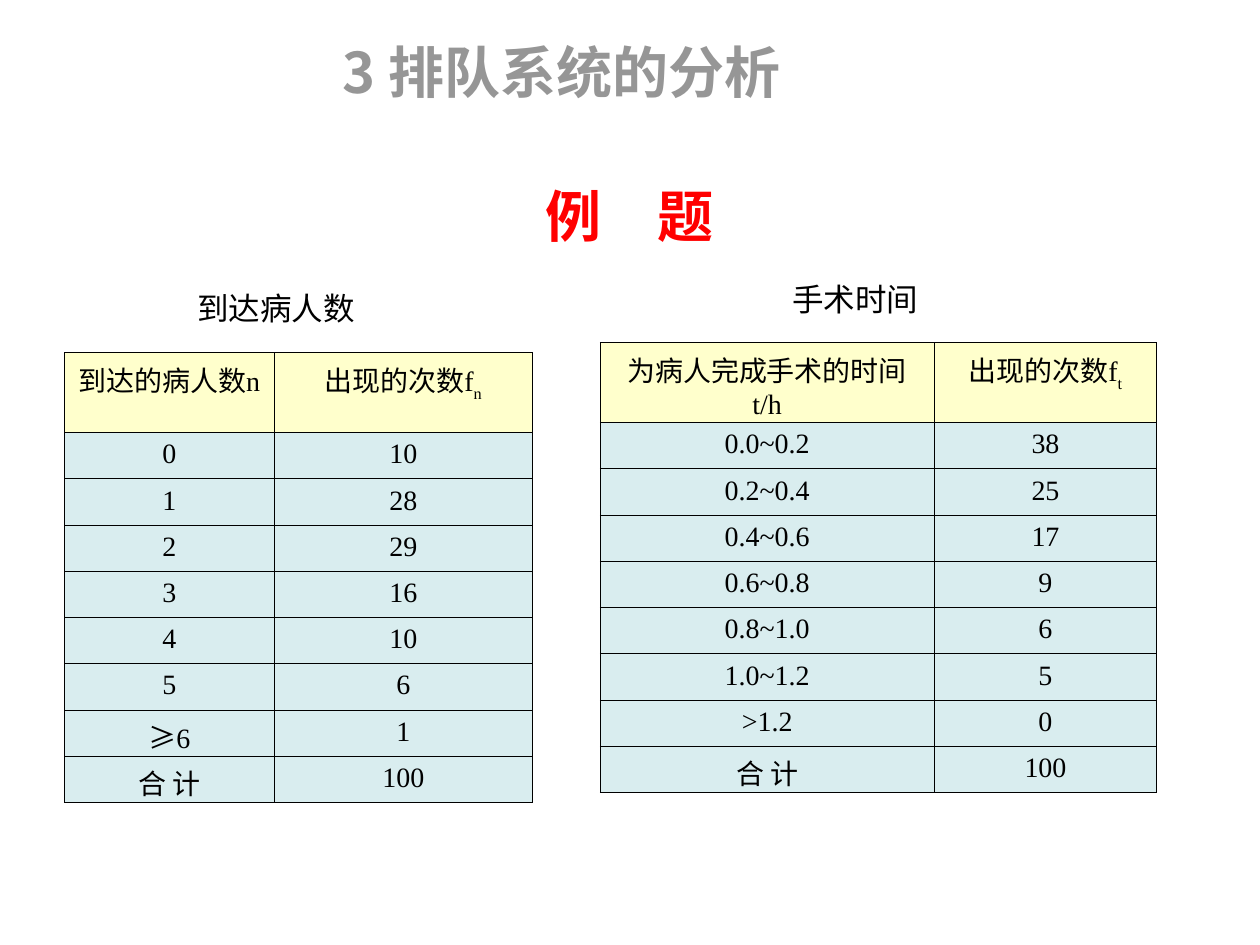
from dataclasses import dataclass

from lxml import etree
from pptx import Presentation
from pptx.dml.color import RGBColor as RGB
from pptx.enum.text import MSO_ANCHOR as Anchor, MSO_AUTO_SIZE as AutoSize, PP_ALIGN as Align
from pptx.oxml import parse_xml
from pptx.oxml.ns import nsdecls, qn
from pptx.util import Cm, Pt


@dataclass(frozen=True)
class Theme:
    ink: RGB = RGB(0, 0, 0)
    chapter: RGB = RGB(0x96, 0x96, 0x96)
    title: RGB = RGB(0xFF, 0, 0)
    header: RGB = RGB(0xFF, 0xFF, 0xCC)
    body: RGB = RGB(0xD9, 0xED, 0xEF)
    heading_size: Pt = Pt(32)
    caption_size: Pt = Pt(18)
    table_size: Pt = Pt(16)
    border: Pt = Pt(0.45)
    cjk: str = "Noto Sans CJK SC"
    cjk_chapter: str = "Noto Sans CJK JP"
    latin: str = "Arial"
    serif: str = "Times New Roman"


theme = Theme()


def style_run(run, size, color, latin, east_asian, bold=False):
    """Format a run, giving Latin and East Asian letters their own fonts."""
    run.font.size = size
    run.font.bold = bold
    run.font.color.rgb = color
    run.font.name = latin
    etree.SubElement(run.font._element, qn("a:ea"), typeface=east_asian)


def add_borders(cell):
    properties = cell._tc.get_or_add_tcPr()
    for position, side in enumerate(("lnL", "lnR", "lnT", "lnB")):
        properties.insert(position, parse_xml(
            f'<a:{side} {nsdecls("a")} w="{theme.border}"><a:solidFill>'
            f'<a:srgbClr val="{theme.ink}"/></a:solidFill></a:{side}>'))


prs = Presentation()
prs.slide_width, prs.slide_height = Cm(25.4), Cm(19.05)
slide = prs.slides.add_slide(prs.slide_layouts[5])

title = slide.shapes.title
title.left, title.top, title.width, title.height = Cm(1.27), Cm(2.74), Cm(22.86), Cm(3.18)
title.text_frame.text = "例　题"
title.text_frame.auto_size = AutoSize.NONE
title.text_frame.vertical_anchor = Anchor.MIDDLE
title.text_frame.paragraphs[0].alignment = Align.CENTER
style_run(title.text_frame.paragraphs[0].runs[0], theme.heading_size, theme.title,
          theme.cjk, theme.cjk, bold=True)

# Text, left, top, width, height, anchor, run style
labels = [
    ("到达病人数", 3.73, 5.69, 3.81, 1.02, Anchor.MIDDLE,
     (theme.caption_size, theme.ink, theme.latin, theme.cjk)),
    ("手术时间", 15.72, 5.51, 3.18, 1.02, Anchor.MIDDLE,
     (theme.caption_size, theme.ink, theme.latin, theme.cjk)),
    ("3 排队系统的分析", 6.65, 0.64, 9.63, 1.63, Anchor.TOP,
     (theme.heading_size, theme.chapter, theme.cjk_chapter, theme.cjk_chapter, True)),
]
for text, left, top, width, height, anchor, style in labels:
    frame = slide.shapes.add_textbox(Cm(left), Cm(top), Cm(width), Cm(height)).text_frame
    frame.text = text
    frame.word_wrap = False
    frame.auto_size = AutoSize.SHAPE_TO_FIT_TEXT
    frame.vertical_anchor = anchor
    style_run(frame.paragraphs[0].runs[0], *style)

# Each cell is a list of runs; the second run of a header is a subscript.
arrivals = [[["到达的病人数n"], ["出现的次数f", "n"]]]
arrivals += [[[str(count)], [times]]
             for count, times in enumerate(["10", "28", "29", "16", "10", "6"])]
arrivals += [[["≥", "6"], ["1"]], [["合 计"], ["100"]]]

surgery = [[["为病人完成手术的时间t/h"], ["出现的次数f", "t"]]]
surgery += [[[f"{step / 5:.1f}~{(step + 1) / 5:.1f}"], [times]]
            for step, times in enumerate(["38", "25", "17", "9", "6", "5"])]
surgery += [[[">1.2"], ["0"]], [["合 计"], ["100"]]]

# Rows, left, top, height, column widths, hanging indent
tables = [
    (arrivals, 1.3, 7.11, 8.46, (4.23, 5.2), 0.95),
    (surgery, 12.1, 6.91, 9.07, (6.73, 4.49), 0),
]
for rows, left, top, height, widths, hanging in tables:
    graphic = slide.shapes.add_table(len(rows), len(widths), Cm(left), Cm(top),
                                     Cm(sum(widths)), Cm(height))
    table = graphic.table
    table.first_row = table.horz_banding = False
    for column, width in zip(table.columns, widths):
        column.width = Cm(width)
    for r, row in enumerate(rows):
        table.rows[r].height = Cm(0.93 if r else 1.6)
        for c, pieces in enumerate(row):
            cell = table.cell(r, c)
            cell.fill.solid()
            cell.fill.fore_color.rgb = theme.body if r else theme.header
            add_borders(cell)
            paragraph = cell.text_frame.paragraphs[0]
            paragraph.alignment = Align.CENTER
            if hanging:
                paragraph._p.get_or_add_pPr().set("marL", str(Cm(hanging)))
                paragraph._p.get_or_add_pPr().set("indent", str(-Cm(hanging)))
            for i, piece in enumerate(pieces):
                run = paragraph.add_run()
                run.text = piece
                style_run(run, theme.table_size, theme.ink,
                          theme.cjk if piece == "≥" else theme.serif, theme.cjk)
                if r == 0 and i == 1:
                    run.font._element.set("baseline", "-30000")
    graphic.height = Cm(height)

prs.save("out.pptx")
